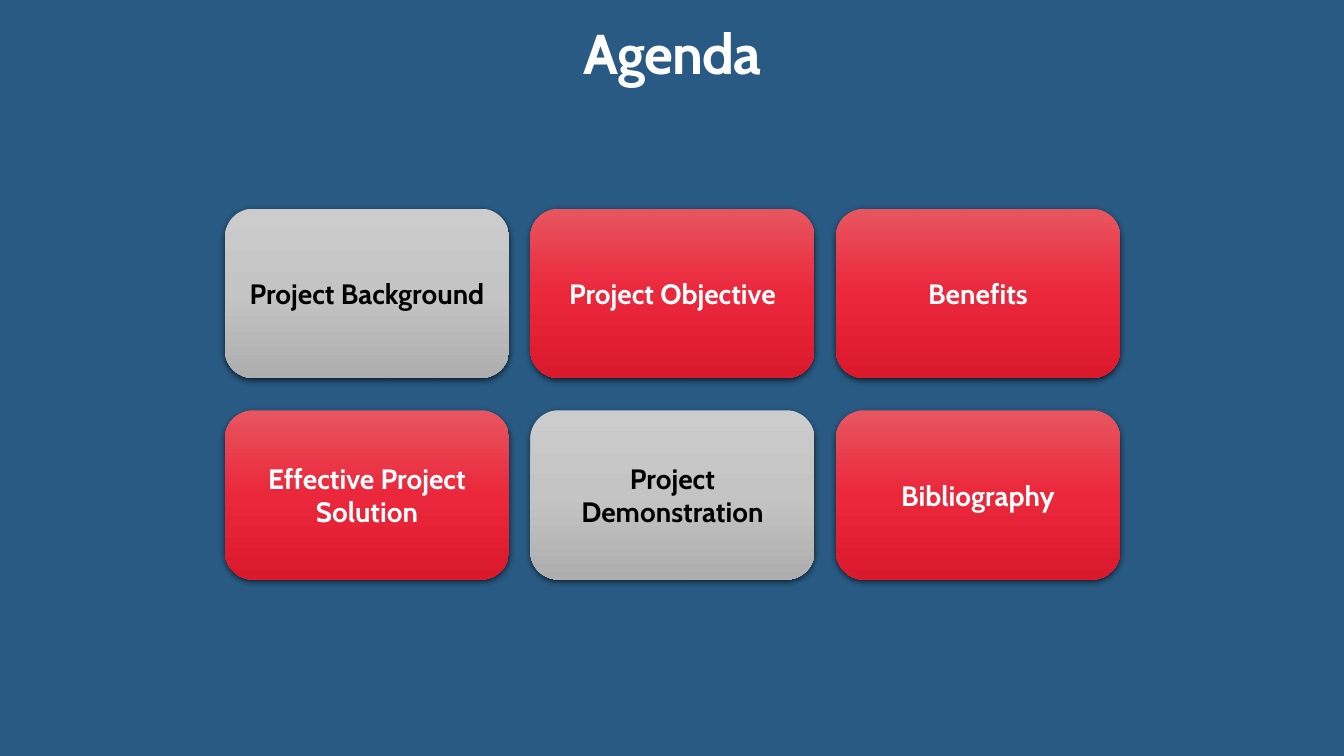
from copy import deepcopy
from dataclasses import dataclass

from lxml import etree
from pptx import Presentation
from pptx.dml.color import RGBColor
from pptx.enum.shapes import MSO_SHAPE
from pptx.enum.text import MSO_ANCHOR, MSO_AUTO_SIZE, PP_ALIGN
from pptx.oxml.ns import qn
from pptx.util import Inches, Pt

ROUNDED = MSO_SHAPE.ROUNDED_RECTANGLE
CENTER = PP_ALIGN.CENTER
MIDDLE, BOTTOM = MSO_ANCHOR.MIDDLE, MSO_ANCHOR.BOTTOM
GROW = MSO_AUTO_SIZE.SHAPE_TO_FIT_TEXT
TITLE_ONLY = 5


@dataclass(frozen=True)
class Theme:
    font: str = "Cabin"
    background: str = "285A83"
    light: str = "FFFFFF"
    dark: str = "000000"
    red: tuple = ("E75660", "EB273B", "DB192C")
    gray: tuple = ("CCCCCC", "C4C4C4", "AEAEAE")
    title_size: int = 40
    topic_size: int = 20


THEME = Theme()

# Topics in reading order; True marks a gray card
TOPICS = [
    [("Project Background", True), ("Project Objective", False), ("Benefits", False)],
    [("Effective Project Solution", False), ("Project Demonstration", True),
     ("Bibliography", False)],
]


def set_all(target, values):
    for name, value in values.items():
        setattr(target, name, value)


def write_text(frame, text, size, color):
    line = frame.paragraphs[0]
    line.alignment = CENTER
    run = line.add_run()
    run.text = text
    set_all(run.font, {"name": THEME.font, "size": Pt(size), "bold": True})
    run.font.color.rgb = RGBColor.from_string(color)
    return run


def fill_gradient(shape, colors):
    shape.fill.gradient()
    shape.fill.gradient_angle = 270  # top to bottom
    stop_list = shape._element.spPr.find(qn("a:gradFill")).find(qn("a:gsLst"))
    while len(stop_list) < len(colors):
        stop_list.append(deepcopy(stop_list[0]))
    for i, (stop, color) in enumerate(zip(shape.fill.gradient_stops, colors)):
        stop.position = i / (len(colors) - 1)
        stop.color.rgb = RGBColor.from_string(color)


def add_shadow(shape):
    shape.shadow.inherit = False
    effects = shape._element.spPr.find(qn("a:effectLst"))
    shadow = etree.SubElement(
        effects, qn("a:outerShdw"), blurRad=str(Pt(4.5)), dist=str(Pt(1.5)),
        dir="5400000", algn="ctr", rotWithShape="0")
    color = etree.SubElement(shadow, qn("a:srgbClr"), val=THEME.dark)
    etree.SubElement(color, qn("a:alpha"), val="63000")


def add_title(slide, left, top, width, height):
    title = slide.shapes.title
    set_all(title, {"left": Inches(left), "top": Inches(top),
                    "width": Inches(width), "height": Inches(height)})
    frame = title.text_frame
    set_all(frame, {"margin_left": 0, "margin_right": 0, "margin_top": 0,
                    "margin_bottom": 0, "vertical_anchor": BOTTOM,
                    "word_wrap": True, "auto_size": GROW})
    run = write_text(frame, "Agenda", THEME.title_size, THEME.light)
    run.font._element.set("spc", "-50")


def add_topic_card(slide, topic, is_gray, left, top, width, height):
    card = slide.shapes.add_shape(
        ROUNDED, Inches(left), Inches(top), Inches(width), Inches(height))
    fill_gradient(card, THEME.gray if is_gray else THEME.red)
    card.line.fill.background()
    add_shadow(card)
    set_all(card.text_frame, {"word_wrap": True, "vertical_anchor": MIDDLE})
    write_text(card.text_frame, topic, THEME.topic_size,
               THEME.dark if is_gray else THEME.light)


def add_topic_grid(slide, left, top, width, height, gap_x=0.21, gap_y=0.32):
    rows, columns = len(TOPICS), len(TOPICS[0])
    card_width = (width - gap_x * (columns - 1)) / columns
    card_height = (height - gap_y * (rows - 1)) / rows
    for r, topics in enumerate(TOPICS):
        for c, (topic, is_gray) in enumerate(topics):
            add_topic_card(slide, topic, is_gray,
                           left + c * (card_width + gap_x),
                           top + r * (card_height + gap_y),
                           card_width, card_height)


def build_agenda(deck):
    slide = deck.slides.add_slide(deck.slide_layouts[TITLE_ONLY])
    backdrop = slide.background.fill
    backdrop.solid()
    backdrop.fore_color.rgb = RGBColor.from_string(THEME.background)
    add_title(slide, 1.67, 0.18, 10, 0.67)
    add_topic_grid(slide, 2.23, 2.07, 8.88, 3.68)


def main():
    deck = Presentation()
    set_all(deck, {"slide_width": Inches(13.33), "slide_height": Inches(7.5)})
    build_agenda(deck)
    deck.save("out.pptx")


if __name__ == "__main__":
    main()
